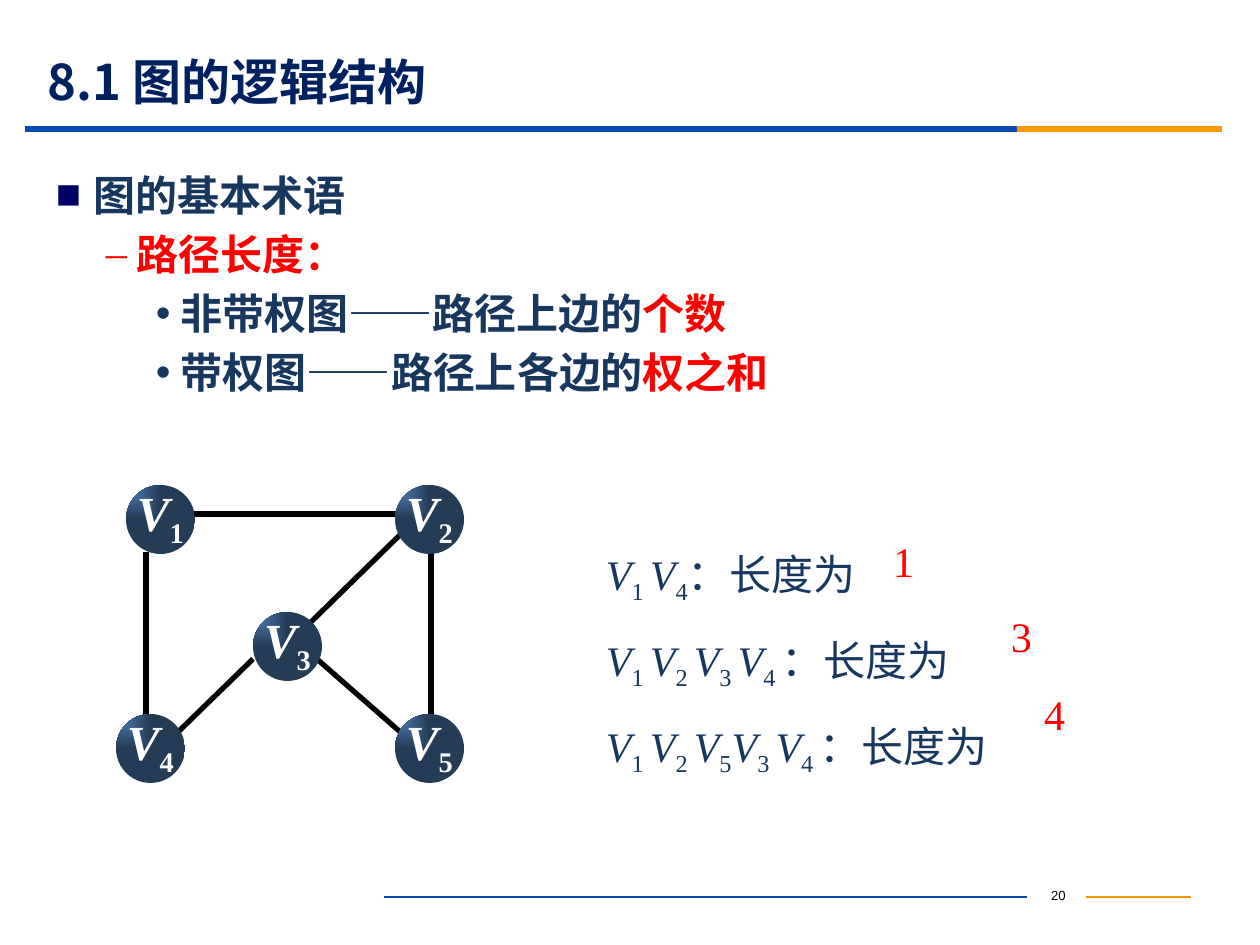
from lxml.etree import SubElement
from pptx import Presentation
from pptx.dml.color import RGBColor as RGB
from pptx.enum.shapes import MSO_CONNECTOR as CONN, MSO_SHAPE as SHAPE
from pptx.enum.text import MSO_ANCHOR as ANCHOR, PP_ALIGN as ALIGN
from pptx.oxml.ns import qn
from pptx.util import Emu, Pt

COLORS = {
    "title": "002060", "text": "17375E", "red": "FF0000", "white": "FFFFFF",
    "black": "000000", "blue": "064BB2", "orange": "FB9708", "amber": "F19500",
    "bullet": "000066", "node_light": "4F81BD", "node_dark": "253C57",
}
CJK, SERIF, SANS = "Noto Sans CJK SC", "Times New Roman", "Arial"
NODES = {1: (10, 0), 2: (279, 0), 3: (137, 127), 4: (0, 229), 5: (279, 229)}
EDGES = [
    (76, 29, 283, 29), (287, 47, 195, 137), (137, 174, 58, 251),
    (315, 66, 315, 236), (202, 175, 290, 252), (30, 67, 30, 233),
]
BULLETS = [("■", 38, 38, "bullet"), ("–", 81, 31, "red"), ("•", 125, 25, "text")]
TERMS = [
    (0, [("图的基本术语", "text")]),
    (1, [("路径长度：", "red")]),
    (2, [("非带权图——路径上边的", "text"), ("个数", "red")]),
    (2, [("带权图——路径上各边的", "text"), ("权之和", "red")]),
]
ROUTES = [["1 ", "4"], ["1 ", "2 ", "3 ", "4 "], ["1 ", "2 ", "5", "3 ", "4 "]]
ANSWERS = [("1", 880, 530), ("3", 998, 605), ("4", 1031, 683)]


def px(n):
    return Emu(round(n * 914400 / 126))


def color(name):
    return RGB.from_string(COLORS[name])


def add_text(s, x, y, w, h, insets=(13, 6, 13, 6), wrap=True):
    tf = s.shapes.add_textbox(px(x), px(y), px(w), px(h)).text_frame
    tf.word_wrap = wrap
    tf.margin_left, tf.margin_top, tf.margin_right, tf.margin_bottom = map(px, insets)
    return tf


def add_run(p, text, size, c, font, bold=False, italic=False, sub=False):
    r = p.add_run()
    r.text = text
    f = r.font
    f.size, f.name, f.bold, f.italic = Pt(size), font, bold, italic
    f.color.rgb = color(c)
    rPr = r._r.get_or_add_rPr()
    SubElement(rPr, qn("a:ea")).set("typeface", CJK)
    if sub:
        rPr.set("baseline", "-25000")


def add_line(s, x1, y1, x2, y2, c, width):
    line = s.shapes.add_connector(CONN.STRAIGHT, px(x1), px(y1), px(x2), px(y2))
    line.line.color.rgb = color(c)
    line.line.width = Pt(width)
    SubElement(line._element.spPr, qn("a:effectLst"))


def add_shape(s, kind, x, y, w, h):
    sp = s.shapes.add_shape(kind, px(x), px(y), px(w), px(h))
    sp.shadow.inherit = False
    sp.line.fill.background()
    return sp


def add_header(s, x, y):
    tf = add_text(s, x + 10, y, 1134, 54)
    tf.vertical_anchor = ANCHOR.MIDDLE
    add_run(tf.paragraphs[0], "8.1 图的逻辑结构", 28, "title", CJK, bold=True)
    for left, w, c in ((0, 992, "blue"), (992, 205, "orange")):
        bar = add_shape(s, SHAPE.RECTANGLE, x + left, y + 72, w, 6)
        bar.fill.solid()
        bar.fill.fore_color.rgb = color(c)


def add_bullet(p, level):
    char, left, hang, c = BULLETS[level]
    pPr = p._p.get_or_add_pPr()
    pPr.set("marL", str(px(left)))
    pPr.set("indent", str(px(-hang)))
    clr = SubElement(pPr, qn("a:buClr"))
    SubElement(clr, qn("a:srgbClr")).set("val", COLORS[c])
    SubElement(pPr, qn("a:buSzPct")).set("val", "100000")
    SubElement(pPr, qn("a:buFont")).set("typeface", SERIF if level == 1 else SANS)
    SubElement(pPr, qn("a:buChar")).set("char", char)


def add_terms(s, x, y):
    tf = add_text(s, x, y, 1134, 250)
    for i, (level, parts) in enumerate(TERMS):
        p = tf.add_paragraph() if i else tf.paragraphs[0]
        p.level = level
        add_bullet(p, level)
        p.line_spacing = Pt(29)
        p.space_before = Pt(4.8 if i else 0)
        for text, c in parts:
            add_run(p, text, 24, c, CJK, bold=True)


def add_graph(s, x, y):
    for x1, y1, x2, y2 in EDGES:
        add_line(s, x + x1, y + y1, x + x2, y + y2, "black", 3)
    for n, (left, top) in NODES.items():
        node = add_shape(s, SHAPE.OVAL, x + left, y + top, 69, 69)
        node.fill.gradient()
        for stop, c in zip(node.fill.gradient_stops, ("node_light", "node_dark")):
            stop.color.rgb = color(c)
        grad = node._element.spPr.find(qn("a:gradFill"))
        grad.remove(grad.find(qn("a:lin")))
        shade = SubElement(grad, qn("a:path"))
        shade.set("path", "rect")
        focus = SubElement(shade, qn("a:fillToRect"))
        focus.set("r", "100000")
        focus.set("b", "100000")
        tf = add_text(s, x + left + 10, y + top - 7, 64, 82, (1, 4, 0, 1))
        p = tf.paragraphs[0]
        add_run(p, "V", 28, "white", SERIF, bold=True, italic=True)
        add_run(p, str(n), 28, "white", SERIF, bold=True, sub=True)


def add_routes(s, x, y):
    tf = add_text(s, x, y, 546, 270)
    for i, route in enumerate(ROUTES):
        p = tf.add_paragraph() if i else tf.paragraphs[0]
        p.line_spacing = Pt(49)
        for index in route:
            add_run(p, "V", 24, "text", SERIF, italic=True)
            add_run(p, index, 24, "text", SERIF, sub=True)
        add_run(p, "：长度为", 24, "text", SERIF)


def add_answers(s):
    for text, x, y in ANSWERS:
        tf = add_text(s, x, y, 67, 63)
        add_run(tf.paragraphs[0], text, 24, "red", SERIF)


def add_footer(s, x, y):
    add_line(s, x, y, x + 643, y, "blue", 0.75)
    add_line(s, x + 702, y, x + 807, y, "amber", 0.75)
    p = add_text(s, x + 645, y - 16, 59, 32).paragraphs[0]
    p.alignment = ALIGN.CENTER
    add_run(p, "20", 7.5, "black", SANS)


def main():
    prs = Presentation()
    prs.slide_width, prs.slide_height = px(1260), px(945)
    s = prs.slides.add_slide(prs.slide_layouts[6])
    add_footer(s, 384, 897)
    add_header(s, 25, 54)
    add_terms(s, 43, 163)
    add_graph(s, 116, 485)
    add_routes(s, 593, 514)
    add_answers(s)
    prs.save("out.pptx")


if __name__ == "__main__":
    main()
